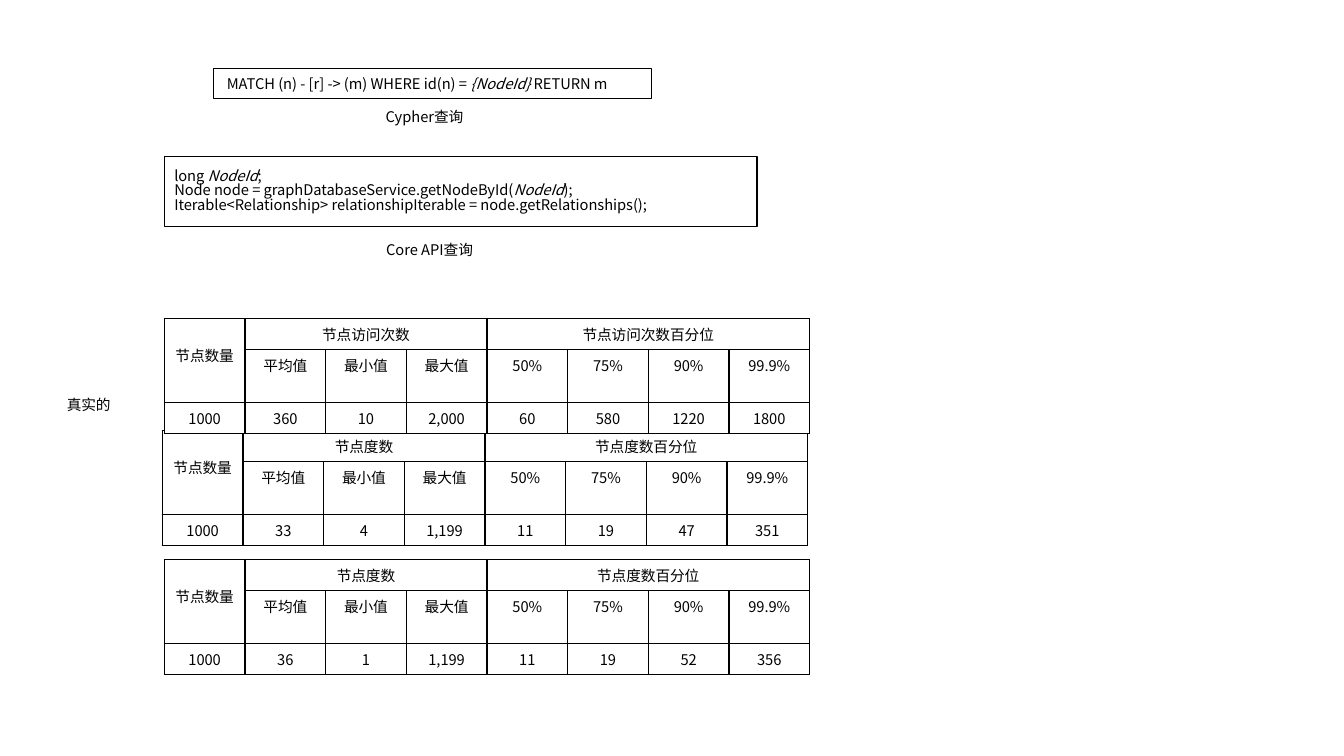
from dataclasses import dataclass

from pptx import Presentation
from pptx.dml.color import RGBColor
from pptx.enum.shapes import MSO_SHAPE as Shape
from pptx.enum.text import MSO_ANCHOR as Anchor, PP_ALIGN as Align
from pptx.oxml import parse_xml
from pptx.oxml.ns import nsdecls, qn
from pptx.util import Emu, Pt

PX = 9144
FONT = "Noto Sans CJK SC"
COLORS = {"ink": "000000", "paper": "FFFFFF"}
COL_W = 80
ROW_H = (31, 52, 31)
STATS = ("平均值", "最小值", "最大值", "50%", "75%", "90%", "99.9%")


@dataclass
class Box:
    x: int
    y: int
    w: int
    h: int
    lines: list[list[str]]
    is_code: bool = False


@dataclass
class StatsTable:
    x: int
    y: int
    topic: str
    values: tuple[str, ...]


BOXES = [
    Box(212, 68, 434, 30,
        [[" MATCH (n) - [r] -> (m) WHERE id(n) = ", "{NodeId} ", "RETURN m"]], True),
    Box(370, 107, 102, 17, [["Cypher查询"]]),
    Box(163, 155, 588, 70,
        [["long ", "NodeId", ";"],
         ["Node node = graphDatabaseService.getNodeById(", "NodeId", ");"],
         ["Iterable<Relationship> relationshipIterable = node.getRelationships();"]], True),
    Box(370, 239, 112, 17, [["Core API查询"]]),
    Box(32, 393, 112, 17, [["真实的"]]),
]

TABLES = [
    StatsTable(161, 427, "节点度数",
               ("1000", "33", "4", "1,199", "11", "19", "47", "351")),
    StatsTable(163, 316, "节点访问次数",
               ("1000", "360", "10", "2,000", "60", "580", "1220", "1800")),
    StatsTable(163, 555, "节点度数",
               ("1000", "36", "1", "1,199", "11", "19", "52", "356")),
]


def px(n: int) -> Emu:
    return Emu(n * PX)


def color(name: str) -> RGBColor:
    return RGBColor.from_string(COLORS[name])


def style_run(r, italic: bool = False) -> None:
    r.font.name = FONT
    r.font.size = Pt(10.5)
    r.font.bold = False
    r.font.italic = italic
    r.font.color.rgb = color("ink")
    latin = r.font._element.find(qn("a:latin"))
    latin.addnext(parse_xml(f'<a:ea {nsdecls("a")} typeface="{FONT}"/>'))


def draw_box(s, box: Box) -> None:
    sp = s.shapes.add_shape(Shape.FLOWCHART_PROCESS,
                            px(box.x), px(box.y), px(box.w), px(box.h))
    sp.shadow.inherit = False
    sp.fill.solid()
    sp.fill.fore_color.rgb = color("paper")
    if box.is_code:
        sp.line.color.rgb = color("ink")
        sp.line.width = Pt(1)
    else:
        sp.line.fill.background()
    tf = sp.text_frame
    tf.word_wrap = box.is_code
    tf.vertical_anchor = Anchor.MIDDLE
    for i, parts in enumerate(box.lines):
        p = tf.add_paragraph() if i else tf.paragraphs[0]
        p.alignment = Align.LEFT if box.is_code else Align.CENTER
        if len(box.lines) > 1:
            p.line_spacing = 0.83
        for k, part in enumerate(parts):
            r = p.add_run()
            r.text = part
            style_run(r, italic=k % 2 == 1)


def style_cell(cell) -> None:
    cell.fill.solid()
    cell.fill.fore_color.rgb = color("paper")
    tc_pr = cell._tc.get_or_add_tcPr()
    for i, side in enumerate(("lnL", "lnR", "lnT", "lnB")):
        tc_pr.insert(i, parse_xml(
            f'<a:{side} {nsdecls("a")} w="12700"><a:solidFill>'
            f'<a:srgbClr val="{COLORS["ink"]}"/></a:solidFill></a:{side}>'))
    for p in cell.text_frame.paragraphs:
        p.alignment = Align.CENTER
        for r in p.runs:
            style_run(r)


def draw_table(s, spec_table: StatsTable) -> None:
    n_cols = len(spec_table.values)
    table = s.shapes.add_table(len(ROW_H), n_cols, px(spec_table.x), px(spec_table.y),
                               px(n_cols * COL_W), px(sum(ROW_H))).table
    table.first_row = False
    table.horz_banding = False
    for col in table.columns:
        col.width = px(COL_W)
    for row, height in zip(table.rows, ROW_H):
        row.height = px(height)
    for first, last in (((0, 0), (1, 0)), ((0, 1), (0, 3)), ((0, 4), (0, 7))):
        table.cell(*first).merge(table.cell(*last))
    topic = spec_table.topic
    header = ("节点数量", topic, "", "", f"{topic}百分位", "", "", "")
    for i, texts in enumerate((header, ("", *STATS), spec_table.values)):
        for j, text in enumerate(texts):
            cell = table.cell(i, j)
            if text:
                cell.text_frame.text = text
            style_cell(cell)
    table.cell(0, 0).margin_top = px(26)


def main() -> None:
    prs = Presentation()
    prs.slide_width, prs.slide_height = px(1333), px(750)
    s = prs.slides.add_slide(prs.slide_layouts[6])
    for box in BOXES:
        draw_box(s, box)
    for stats_table in TABLES:
        draw_table(s, stats_table)
    prs.save("out.pptx")


if __name__ == "__main__":
    main()
